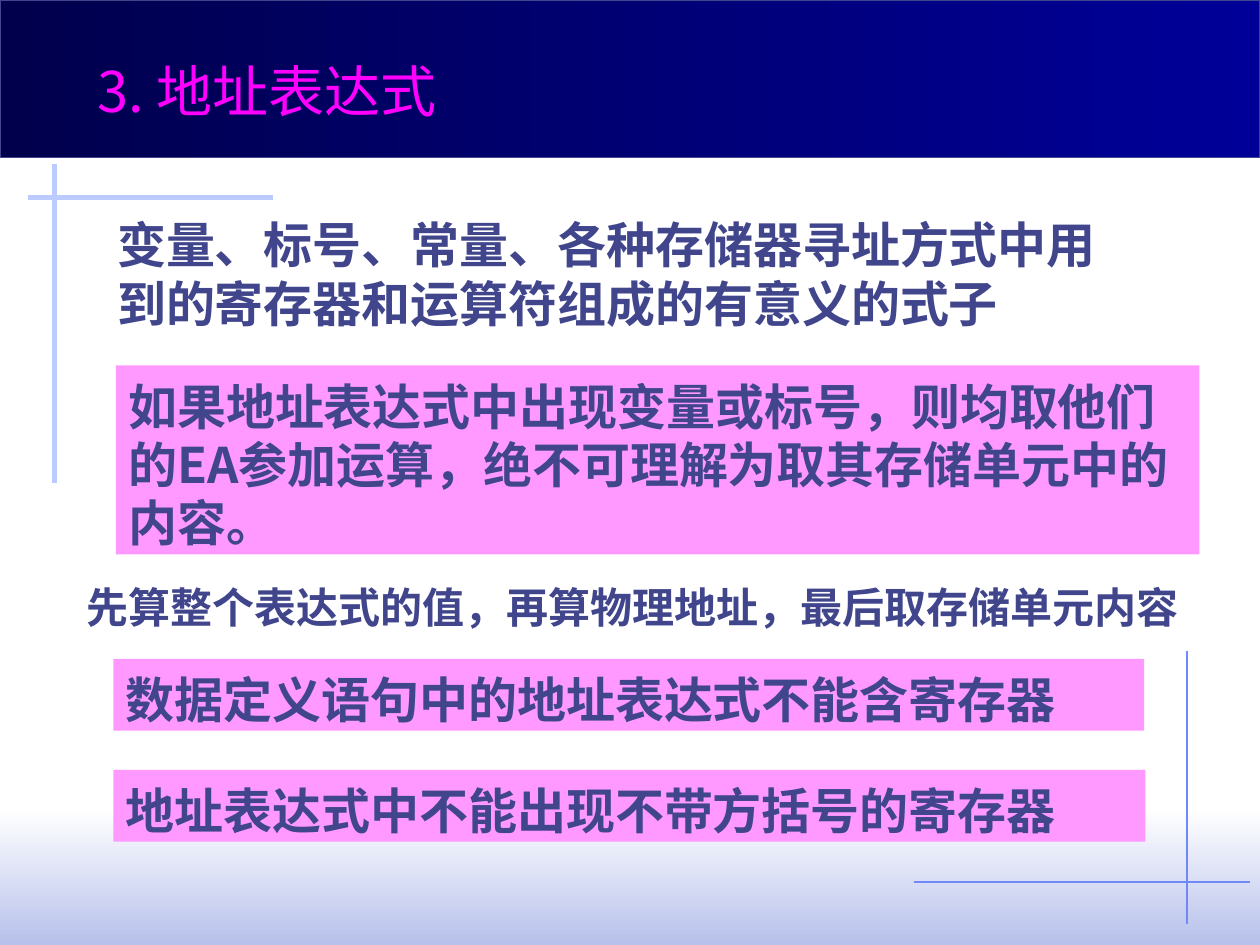
from dataclasses import dataclass

from lxml.etree import SubElement
from pptx import Presentation
from pptx.dml.color import RGBColor
from pptx.enum.shapes import MSO_CONNECTOR as CONN, MSO_SHAPE as SHAPE
from pptx.enum.text import MSO_ANCHOR as ANCHOR, MSO_AUTO_SIZE as FIT, PP_ALIGN as ALIGN
from pptx.oxml.ns import qn
from pptx.util import Inches, Pt


@dataclass(frozen=True)
class Theme:
    """Colours, fonts and type sizes of the slide."""
    navy: str = "00004D"
    blue: str = "000099"
    white: str = "FFFFFF"
    haze: str = "B7C1EB"
    pale_line: str = "BBCBFD"
    thin_line: str = "6F89F7"
    ink: str = "40458C"
    magenta: str = "FF00FF"
    pink: str = "FF99FF"
    font: str = "Noto Sans CJK SC"
    serif: str = "Times New Roman"
    title: int = 32
    body: int = 28
    note: int = 24
    leading: float = 1.19


THEME = Theme()


def rgb(code):
    """Turn a hex code into a colour."""
    return RGBColor.from_string(code)


def place(sp, box):
    """Move a shape to a left, top, width, height box in inches."""
    sp.left, sp.top, sp.width, sp.height = map(Inches, box)


def add_band(slide, box, start, end, angle, outline=None):
    """Add a full-width gradient band."""
    sp = slide.shapes.add_shape(SHAPE.RECTANGLE, *map(Inches, box))
    sp.shadow.inherit = False
    sp.fill.gradient()
    sp.fill.gradient_angle = angle
    for stop, color in zip(sp.fill.gradient_stops, (start, end)):
        stop.color.rgb = rgb(color)
    if outline:
        sp.line.color.rgb = rgb(outline)
        sp.line.width = Pt(0.75)
    else:
        sp.line.fill.background()


def add_rule(slide, ends, color, width):
    """Add a straight decorative line."""
    line = slide.shapes.add_connector(CONN.STRAIGHT, *map(Inches, ends))
    line.line.color.rgb = rgb(color)
    line.line.width = Pt(width)
    SubElement(line._element.spPr, qn("a:effectLst"))


def write(sp, text, size=THEME.body, color=THEME.ink, bold=True, latin=THEME.font):
    """Write one left-aligned paragraph without a bullet."""
    tf = sp.text_frame
    tf.word_wrap = True
    tf.auto_size = FIT.NONE
    tf.vertical_anchor = ANCHOR.TOP
    tf.margin_left = tf.margin_right = Inches(0.1)
    tf.margin_top, tf.margin_bottom = Inches(0.09), Inches(0.01)
    p = tf.paragraphs[0]
    p.alignment = ALIGN.LEFT
    p.line_spacing = Pt(round(size * THEME.leading, 1))
    p.space_before = Pt(0)
    pPr = p._p.get_or_add_pPr()
    pPr.set("marL", "0")
    pPr.set("indent", "0")
    SubElement(pPr, qn("a:buNone"))
    r = p.add_run()
    r.text = text
    r.font.size = Pt(size)
    r.font.bold = bold
    r.font.color.rgb = rgb(color)
    r.font.name = latin
    SubElement(r._r.get_or_add_rPr(), qn("a:ea")).set("typeface", THEME.font)


def fill_placeholder(slide, sp, box, text, **style):
    """Place a placeholder in front of the decoration and write in it."""
    slide.shapes._spTree.append(sp._element)
    place(sp, box)
    write(sp, text, **style)


def add_note(slide, box, text, **style):
    """Add a plain text box."""
    write(slide.shapes.add_textbox(*map(Inches, box)), text, **style)


def add_callout(slide, box, text):
    """Add a pink rule box."""
    sp = slide.shapes.add_shape(SHAPE.RECTANGLE, *map(Inches, box))
    sp.shadow.inherit = False
    sp.fill.solid()
    sp.fill.fore_color.rgb = rgb(THEME.pink)
    sp.line.fill.background()
    write(sp, text)


def add_decoration(slide):
    """Add the bands and the two crosses of lines."""
    add_band(slide, (0, 6.42, 10, 1.08), THEME.white, THEME.haze, 270)
    add_band(slide, (0, 0, 10, 1.25), THEME.navy, THEME.blue, 0, THEME.ink)
    for ends in ((2.17, 1.57, 0.22, 1.57), (0.43, 1.3, 0.43, 3.83)):
        add_rule(slide, ends, THEME.pale_line, 3)
    for ends in ((9.42, 5.17, 9.42, 7.33), (7.25, 7, 9.92, 7)):
        add_rule(slide, ends, THEME.thin_line, 0.75)


def main():
    """Build the slide and save it."""
    prs = Presentation()
    prs.slide_width, prs.slide_height = Inches(10), Inches(7.5)
    slide = prs.slides.add_slide(prs.slide_layouts[1])
    title, body = slide.placeholders
    add_decoration(slide)
    fill_placeholder(slide, title, (0.67, 0.36, 3.27, 0.8), "3. 地址表达式",
                     size=THEME.title, color=THEME.magenta, bold=False)
    fill_placeholder(slide, body, (0.83, 1.62, 8.03, 1.04),
                     "变量、标号、常量、各种存储器寻址方式中用到的寄存器和运算符组成的有意义的式子")
    add_callout(slide, (0.92, 2.9, 8.6, 1.5),
                "如果地址表达式中出现变量或标号，则均取他们的EA参加运算，绝不可理解为取其存储单元中的内容。")
    add_note(slide, (0.59, 4.53, 9.1, 0.5),
             "先算整个表达式的值，再算物理地址，最后取存储单元内容",
             size=THEME.note, latin=THEME.serif)
    add_callout(slide, (0.9, 5.23, 8.18, 0.57), "数据定义语句中的地址表达式不能含寄存器")
    add_callout(slide, (0.9, 6.11, 8.19, 0.57), "地址表达式中不能出现不带方括号的寄存器")
    prs.save("out.pptx")


if __name__ == "__main__":
    main()
